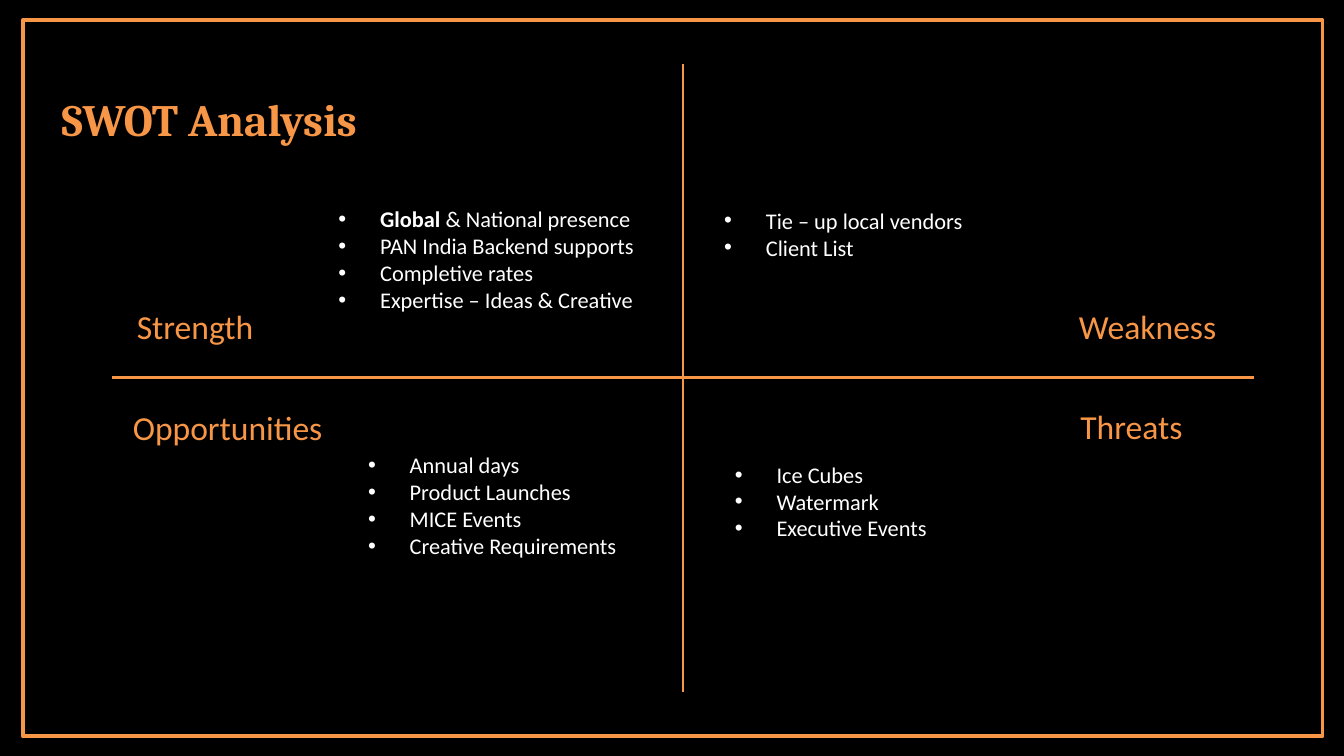
from pptx import Presentation
from pptx.dml.color import RGBColor
from pptx.enum.shapes import MSO_CONNECTOR, MSO_SHAPE
from pptx.enum.text import MSO_ANCHOR
from pptx.oxml.ns import qn
from pptx.util import Inches, Pt
from lxml import etree

ORANGE = RGBColor(0xF7, 0x96, 0x46)
WHITE = RGBColor(0xFF, 0xFF, 0xFF)
BLACK = RGBColor(0, 0, 0)

TITLE = "SWOT Analysis"
QUADRANTS = [
    ("Strength", (0.92, 2.23, 1.33, 0.42), (2.42, 1.48, 2.42, 0.91),
     [[("Global", True), (" & National presence", False)], "PAN India Backend supports",
      "Completive rates", "Expertise – Ideas & Creative"]),
    ("Weakness", (7.93, 2.23, 1.33, 0.42), (5.29, 1.49, 2.42, 0.5),
     ["Tie – up local vendors", "Client List"]),
    ("Opportunities", (0.89, 2.98, 1.83, 0.4), (2.64, 3.31, 2.42, 1.31),
     ["Annual days", "Product Launches", "MICE Events", "Creative Requirements"]),
    ("Threats", (7.94, 2.97, 1.33, 0.42), (5.37, 3.38, 2.33, 0.91),
     ["Ice Cubes", "Watermark", "Executive Events"]),
]
AXES = [((5.08, 0.48, 5.08, 5.15), 1), ((0.83, 2.81, 9.33, 2.81), 1.5)]

prs = Presentation()
prs.slide_width = Inches(10)
prs.slide_height = prs.slide_width * 9 // 16
s = prs.slides.add_slide(prs.slide_layouts[6])
s.background.fill.solid()
s.background.fill.fore_color.rgb = BLACK


def add_text(box, paragraphs, size=18, color=ORANGE, font="Calibri", bold=False,
             bullet=False, anchor=MSO_ANCHOR.TOP):
    tf = s.shapes.add_textbox(*map(Inches, box)).text_frame
    tf.word_wrap = True
    tf.vertical_anchor = anchor
    for i, content in enumerate(paragraphs):
        p = tf.add_paragraph() if i else tf.paragraphs[0]
        if bullet:
            pPr = p._p.get_or_add_pPr()
            pPr.set("marL", str(Inches(0.31)))
            pPr.set("indent", str(Inches(-0.31)))
            etree.SubElement(pPr, qn("a:buFont"), typeface="Arial")
            etree.SubElement(pPr, qn("a:buChar"), char="•")
        runs = [(content, bold)] if isinstance(content, str) else content
        for text, strong in runs:
            r = p.add_run()
            r.text = text
            r.font.name, r.font.size, r.font.bold = font, Pt(size), strong
            r.font.color.rgb = color


frame = s.shapes.add_shape(MSO_SHAPE.RECTANGLE, *map(Inches, (0.17, 0.15, 9.67, 5.33)))
frame.shadow.inherit = False
frame.fill.background()
frame.line.color.rgb = ORANGE
frame.line.width = Pt(2)

add_text((0.36, 0.59, 4.57, 0.58), [TITLE], size=24, font="Cambria", bold=True,
         anchor=MSO_ANCHOR.MIDDLE)

for ends, width in AXES:
    axis = s.shapes.add_connector(MSO_CONNECTOR.STRAIGHT, *map(Inches, ends))
    axis.line.color.rgb = ORANGE
    axis.line.width = Pt(width)
    etree.SubElement(axis._element.spPr, qn("a:effectLst"))

for heading, heading_box, list_box, points in QUADRANTS:
    add_text(heading_box, [heading])
    add_text(list_box, points, size=12, color=WHITE, bullet=True)

prs.save("out.pptx")
